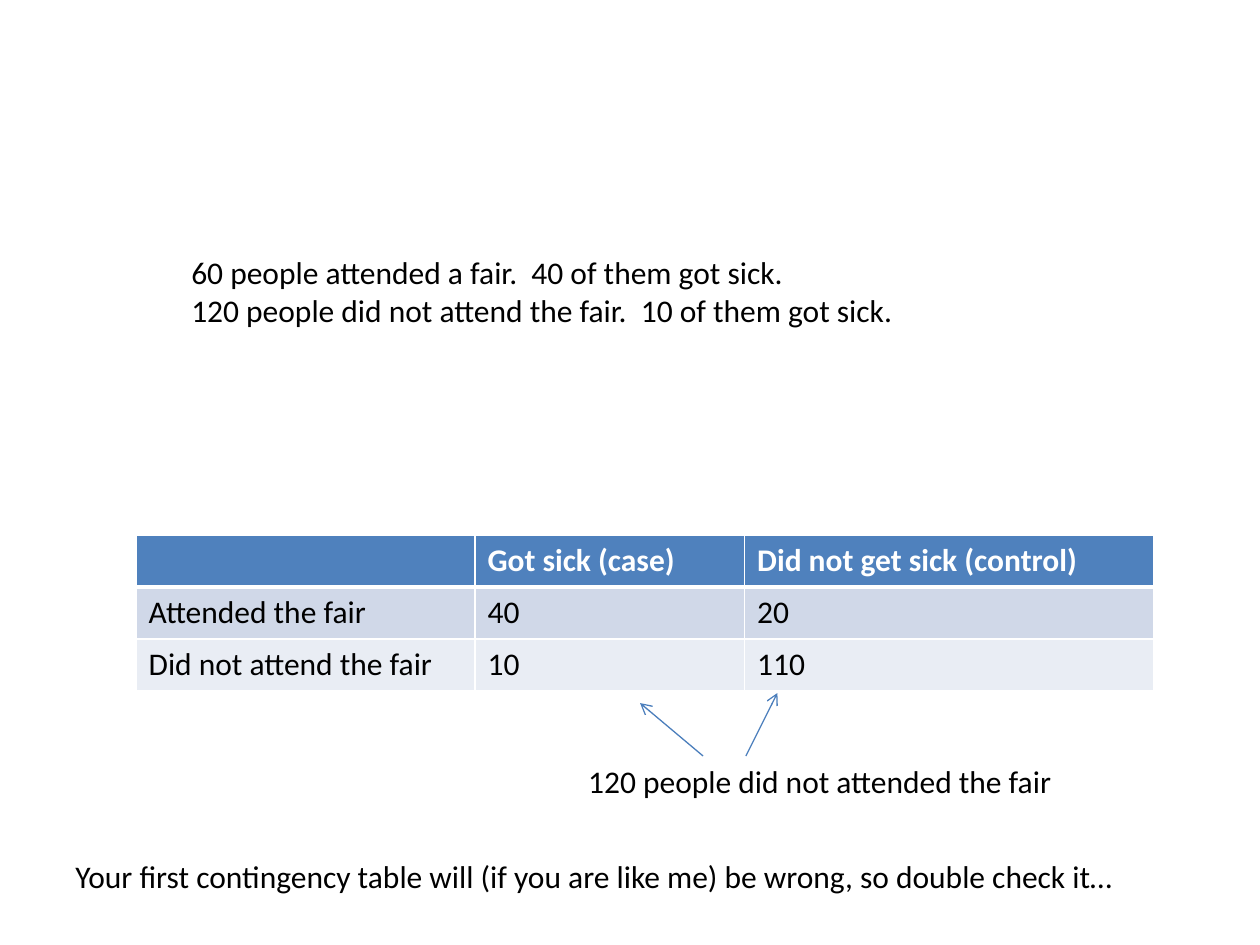
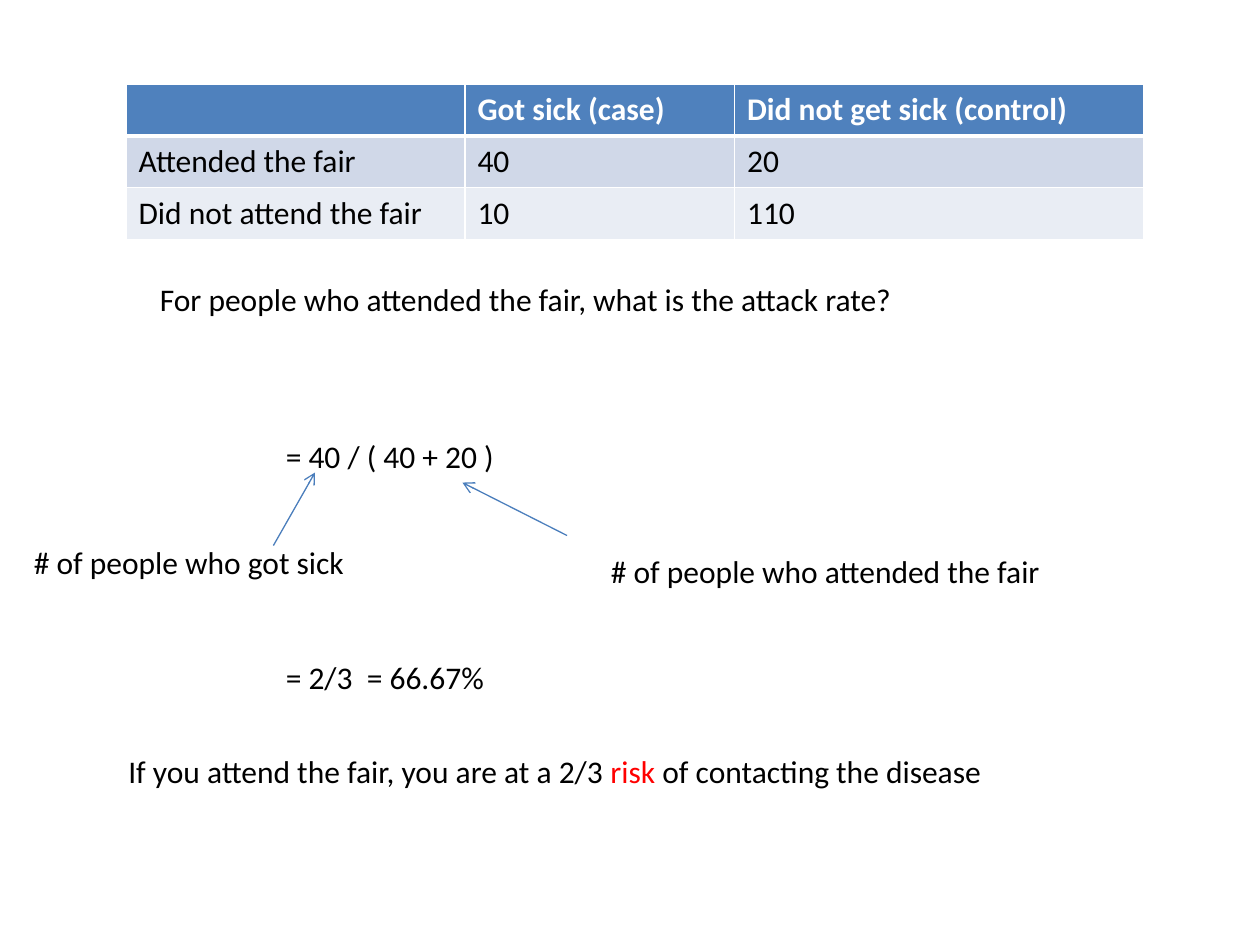
from lxml import etree
from pptx import Presentation
from pptx.dml.color import RGBColor
from pptx.enum.shapes import MSO_CONNECTOR
from pptx.enum.text import MSO_AUTO_SIZE
from pptx.oxml.ns import qn
from pptx.util import Inches, Pt

STRAIGHT = MSO_CONNECTOR.STRAIGHT
GROW = MSO_AUTO_SIZE.SHAPE_TO_FIT_TEXT
FONT, SIZE = "Calibri", 18
LINE = 0.31
COLORS = {
    "head": "4F81BD", "odd": "D0D8E8", "even": "E9EDF4", "rule": "FFFFFF",
    "arrow": "4B7EBC", "ink": "000000", "light": "FFFFFF", "risk": "FF0000",
}
ROWS = [
    ("", "Got sick (case)", "Did not get sick (control)"),
    ("Attended the fair", "40", "20"),
    ("Did not attend the fair", "10", "110"),
]
COLS = (2.69, 2.14, 3.25)
ROW = 0.41
SLIDES = [
    {
        "table": (1.08, 4.25),
        "texts": [
            (1.42, 1.96, 5.84, [
                [("60 people attended a fair.  40 of them got sick.", "ink")],
                [("120 people did not attend the fair.  10 of them got sick.", "ink")],
            ]),
            (4.57, 6, 3.93, [[("120 people did not attended the fair", "ink")]]),
            (0.5, 6.75, 8.49, [[(
                "Your first contingency table will (if you are like me) "
                "be wrong, so double check it…", "ink")]]),
        ],
        "arrows": [(5.58, 6, 5.08, 5.58), (5.92, 6, 6.17, 5.5)],
    },
    {
        "table": (1, 0.67),
        "texts": [
            (1.17, 2.17, 6.09, [[(
                "For people who attended the fair, what is the attack rate?", "ink")]]),
            (2.17, 3.42, 1.94, [[("= 40 / ( 40 + 20 ) ", "ink")]]),
            (0.17, 4.26, 2.7, [[("# of people who got sick", "ink")]]),
            (4.75, 4.33, 3.66, [[("# of people who attended the fair", "ink")]]),
            (2.17, 5.17, 1.8, [[("= 2/3  = 66.67%", "ink")]]),
            (0.92, 5.92, 7.16, [[
                ("If you attend the fair, you are at a 2/3 ", "ink"),
                ("risk", "risk"),
                (" of contacting the disease", "ink"),
            ]]),
        ],
        "arrows": [(2.17, 4.33, 2.5, 3.75), (4.5, 4.25, 3.67, 3.83)],
    },
]


def color(name):
    return RGBColor.from_string(COLORS[name])


def add_run(para, text, ink, bold=False):
    run = para.add_run()
    run.text = text
    font = run.font
    font.name, font.size, font.bold = FONT, Pt(SIZE), bold
    font.color.rgb = color(ink)


def add_text(slide, left, top, width, lines):
    high = 0.1 + LINE * len(lines)
    box = slide.shapes.add_textbox(*map(Inches, (left, top, width, high)))
    frame = box.text_frame
    frame.word_wrap = False
    frame.auto_size = GROW
    for i, runs in enumerate(lines):
        para = frame.add_paragraph() if i else frame.paragraphs[0]
        for text, ink in runs:
            add_run(para, text, ink)


def add_arrow(slide, ends):
    arrow = slide.shapes.add_connector(STRAIGHT, *map(Inches, ends))
    arrow.line.color.rgb = color("arrow")
    arrow.line.width = Pt(0.75)
    etree.SubElement(arrow.line._ln, qn("a:tailEnd"), type="arrow")
    etree.SubElement(arrow._element.spPr, qn("a:effectLst"))


def add_rules(cell, row):
    props = cell._tc.get_or_add_tcPr()
    for side in "LRTB":
        thick = (row, side) in ((0, "B"), (1, "T"))
        rule = etree.SubElement(
            props, qn("a:ln" + side), w=str(Pt(3 if thick else 1)))
        fill = etree.SubElement(rule, qn("a:solidFill"))
        etree.SubElement(fill, qn("a:srgbClr"), val=COLORS["rule"])


def add_grid(slide, left, top):
    size = (left, top, sum(COLS), ROW * len(ROWS))
    table = slide.shapes.add_table(
        len(ROWS), len(COLS), *map(Inches, size)).table
    for col, width in zip(table.columns, COLS):
        col.width = Inches(width)
    for r, row in enumerate(ROWS):
        table.rows[r].height = Inches(ROW)
        for c, text in enumerate(row):
            cell = table.cell(r, c)
            add_rules(cell, r)
            cell.fill.solid()
            cell.fill.fore_color.rgb = color(("head", "odd", "even")[r])
            para = cell.text_frame.paragraphs[0]
            para.font.size = Pt(SIZE)
            if text:
                add_run(para, text, "ink" if r else "light", r == 0)


deck = Presentation()
deck.slide_width, deck.slide_height = Inches(10), Inches(7.5)
blank = deck.slide_layouts[6]
for page in SLIDES:
    slide = deck.slides.add_slide(blank)
    add_grid(slide, *page["table"])
    for item in page["texts"]:
        add_text(slide, *item)
    for ends in page["arrows"]:
        add_arrow(slide, ends)
deck.save("out.pptx")
